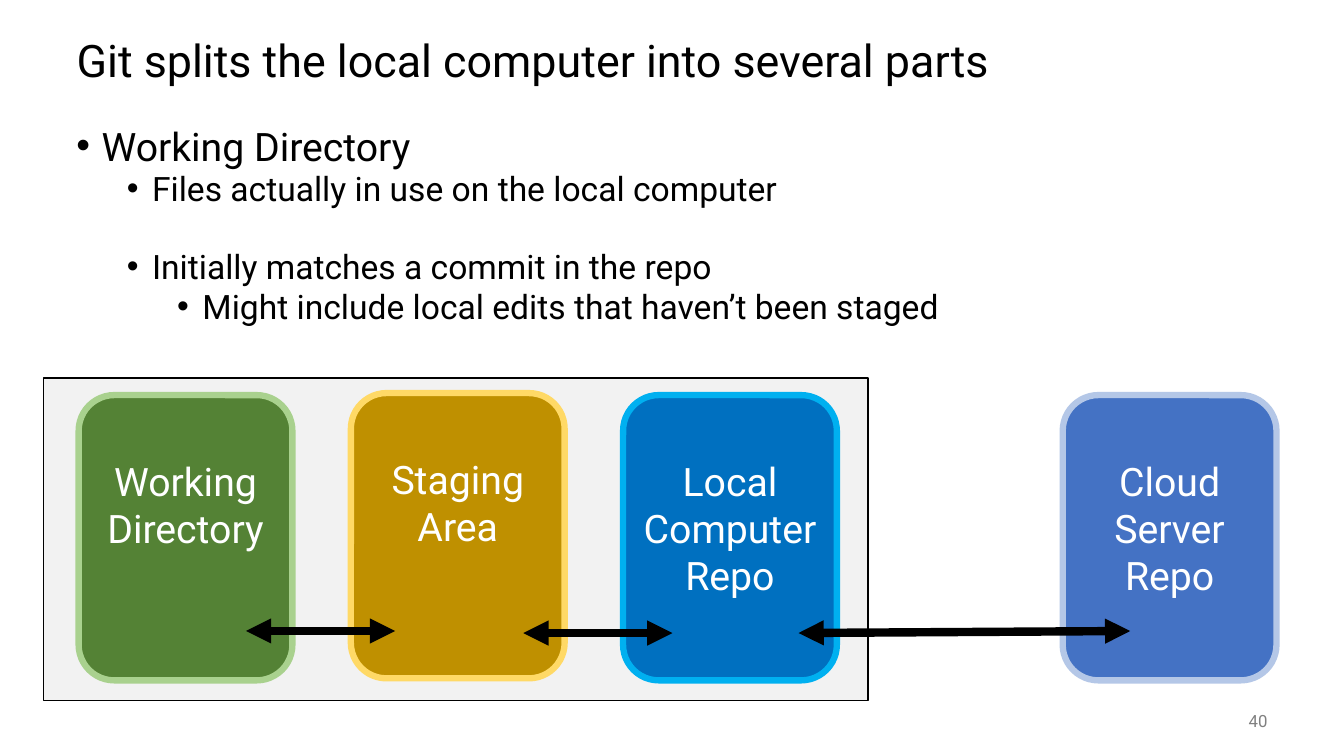
from lxml import etree
from pptx import Presentation
from pptx.dml.color import RGBColor
from pptx.enum.shapes import MSO_CONNECTOR as Connector, MSO_SHAPE as Shape
from pptx.enum.text import MSO_ANCHOR as Anchor, MSO_AUTO_SIZE as AutoSize, PP_ALIGN as Align
from pptx.oxml.ns import qn
from pptx.util import Inches, Pt

# Content
TITLE = "Git splits the local computer into several parts"
PAGE_NUMBER = "40"
BULLETS = [  # text, level, size, space before
    ("Working Directory", 0, 28, 0),
    ("Files actually in use on the local computer", 1, 24, 5),
    ("Initially matches a commit in the repo", 1, 24, 33),
    ("Might include local edits that haven’t been staged", 2, 24, 5),
]
STAGES = [  # text, left, top, fill, border
    ("Cloud Server Repo", 10.54, 3.92, "4472C4", "B4C7E7"),
    ("Local Computer Repo", 6.18, 3.92, "0070C0", "00B0F0"),
    ("Staging Area", 3.48, 3.9, "BF9000", "FFD966"),
    ("Working Directory", 0.78, 3.92, "548235", "A9D18E"),
]
ARROWS = [  # start, end
    ((2.44, 6.26), (3.92, 6.26)),
    ((5.19, 6.28), (6.67, 6.28)),
    ((7.92, 6.28), (11.21, 6.26)),
]

# Layout
WIDTH, HEIGHT = 13.33, 7.5
MARGIN, TEXT_WIDTH = 0.66, 12
STAGE_WIDTH, STAGE_HEIGHT = 2.12, 2.83
INDENT, HANGING = 0.5, 0.25


def colour(code):
    return RGBColor.from_string(code)


def inches(*lengths):
    return [Inches(length) for length in lengths]


def apply(target, **values):
    for name, value in values.items():
        setattr(target, name, value)


def write(para, text, size, code="000000"):
    span = para.add_run()
    span.text = text
    apply(span.font, name="Roboto", size=Pt(size))
    span.font.color.rgb = colour(code)


def add_panel(kind, place, fill, border, weight):
    box = page.shapes.add_shape(kind, *inches(*place))
    box.shadow.inherit = False
    box.fill.solid()
    box.fill.fore_color.rgb = colour(fill)
    box.line.color.rgb = colour(border)
    box.line.width = Pt(weight)
    return box


def add_bullet(para, level):
    settings = para._p.get_or_add_pPr()
    settings.set("marL", str(Inches(HANGING + level * INDENT)))
    settings.set("indent", str(-Inches(HANGING)))
    etree.SubElement(settings, qn("a:buFont"), typeface="Arial")
    etree.SubElement(settings, qn("a:buChar"), char="•")


deck = Presentation()
deck.slide_width, deck.slide_height = inches(WIDTH, HEIGHT)
page = deck.slides.add_slide(deck.slide_layouts[5])

# Title
title = page.shapes.title
left, top, width, height = inches(MARGIN, 0.25, TEXT_WIDTH, 0.75)
apply(title, left=left, top=top, width=width, height=height)
apply(title.text_frame, vertical_anchor=Anchor.MIDDLE, word_wrap=True, auto_size=AutoSize.NONE)
heading = title.text_frame.paragraphs[0]
apply(heading, alignment=Align.LEFT, line_spacing=0.9)
write(heading, TITLE, 32)

# Bullets
frame = page.shapes.add_textbox(*inches(MARGIN, 1.25, TEXT_WIDTH, 2.18)).text_frame
frame.word_wrap = True
for index, (text, level, size, gap) in enumerate(BULLETS):
    para = frame.add_paragraph() if index else frame.paragraphs[0]
    add_bullet(para, level)
    apply(para, level=level, line_spacing=0.8, space_before=Pt(gap))
    write(para, text, size)

# Local computer panel and the stages
add_panel(Shape.RECTANGLE, (0.43, 3.75, 8.18, 3.2), "F2F2F2", "000000", 1)
for text, left, top, fill, border in STAGES:
    place = (left, top, STAGE_WIDTH, STAGE_HEIGHT)
    box = add_panel(Shape.ROUNDED_RECTANGLE, place, fill, border, 4.5)
    apply(box.text_frame, vertical_anchor=Anchor.TOP, word_wrap=True, margin_top=Inches(0.51),
          margin_left=Inches(0.05), margin_right=Inches(0.05))
    para = box.text_frame.paragraphs[0]
    para.alignment = Align.CENTER
    write(para, text, 28, "FFFFFF")

# Two-way arrows
for start, end in ARROWS:
    arrow = page.shapes.add_connector(Connector.STRAIGHT, *inches(*start, *end))
    arrow.line.color.rgb = colour("000000")
    arrow.line.width = Pt(6)
    for tip in ("a:headEnd", "a:tailEnd"):
        etree.SubElement(arrow.line._get_or_add_ln(), qn(tip), type="triangle")
    etree.SubElement(arrow._element.spPr, qn("a:effectLst"))

# Page number
frame = page.shapes.add_textbox(*inches(11.67, 6.95, 1, 0.4)).text_frame
apply(frame, vertical_anchor=Anchor.MIDDLE, word_wrap=True)
frame.paragraphs[0].alignment = Align.RIGHT
write(frame.paragraphs[0], PAGE_NUMBER, 12, "808080")

deck.save("out.pptx")
